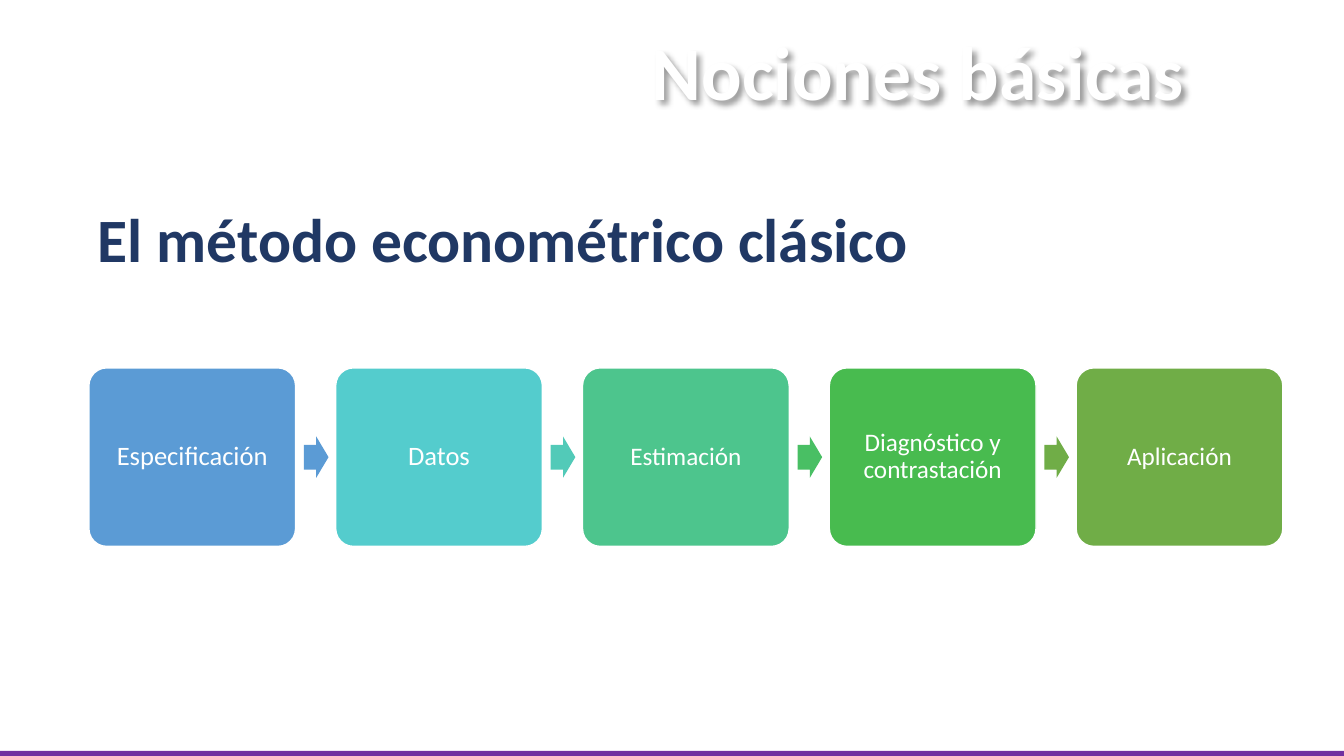
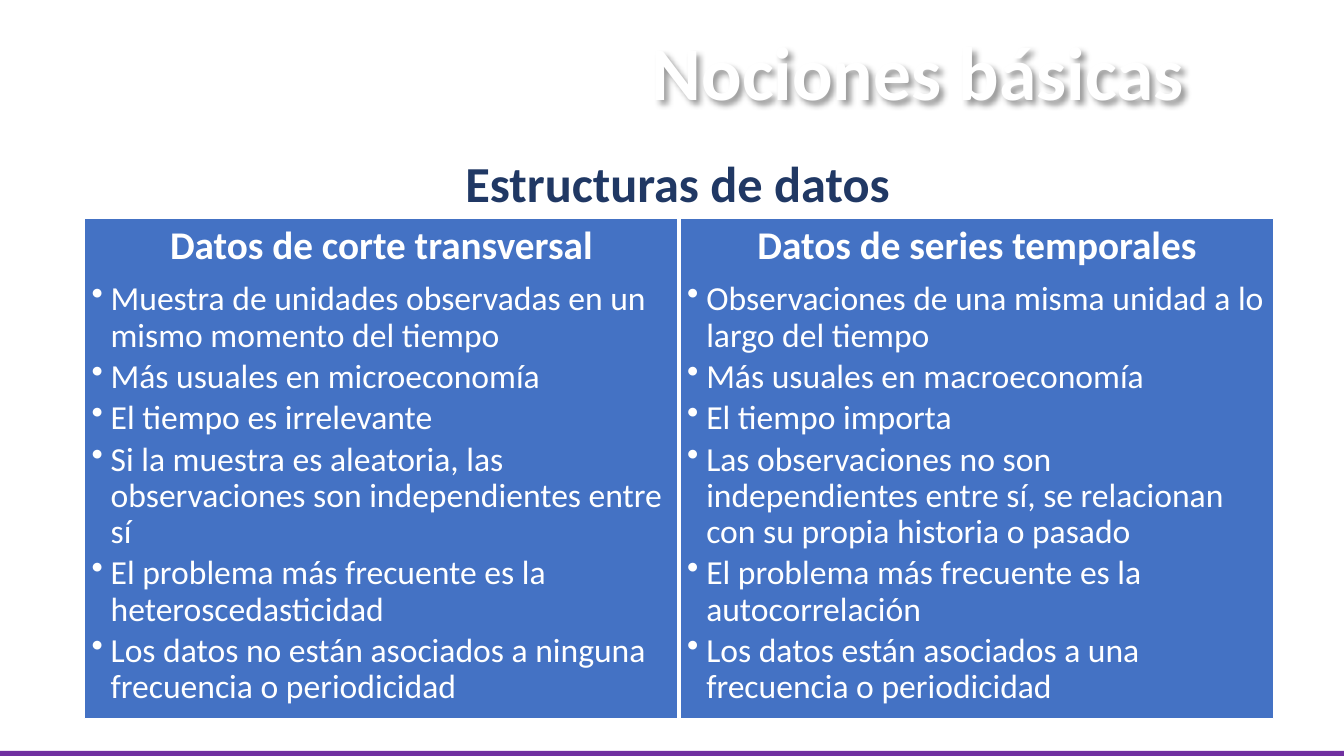
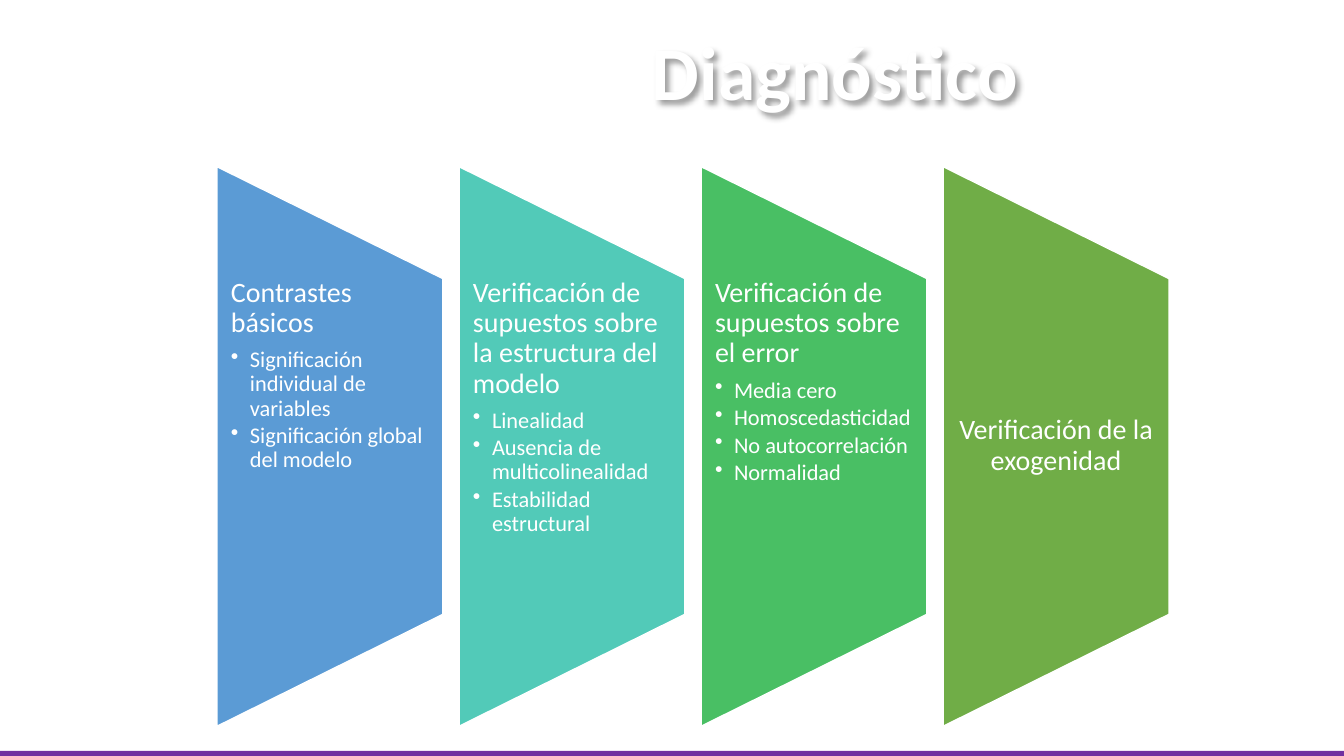
import pptx
import pptx.dml.color
import pptx.enum.shapes
import pptx.enum.text
import pptx.oxml.ns
import pptx.util
from lxml import etree

Cm, Pt = pptx.util.Cm, pptx.util.Pt
qn = pptx.oxml.ns.qn
SHAPES = pptx.enum.shapes.MSO_SHAPE
ANCHOR = pptx.enum.text.MSO_ANCHOR
ALIGN = pptx.enum.text.PP_ALIGN
AUTO_SIZE = pptx.enum.text.MSO_AUTO_SIZE

FONT = "Calibri"
COLORS = {
    "white": "FFFFFF", "purple": "7030A0", "navy": "203864", "royal": "4472C4",
    "blue": "5B9BD5", "cyan": "54CCCD", "teal": "52CAB8", "mint": "4DC58D",
    "emerald": "49BF64", "green": "48BB4F", "olive": "70AD47",
}


def add_block(slide, preset, left, top, width, height, color, outlined=True):
    block = slide.shapes.add_shape(preset, Cm(left), Cm(top), Cm(width), Cm(height))
    block.shadow.inherit = False
    block.fill.solid()
    block.fill.fore_color.rgb = pptx.dml.color.RGBColor.from_string(COLORS[color])
    if outlined:
        block.line.color.rgb = pptx.dml.color.RGBColor.from_string(COLORS["white"])
        block.line.width = Pt(1)
    else:
        block.line.fill.background()
    return block


def write(frame, heading, size, color="white", bold=False, align=ALIGN.LEFT,
          anchor=ANCHOR.TOP, inset=(0.25, 0.13), bullets=(), bullet_size=None, spacing=None):
    frame.word_wrap = True
    frame.vertical_anchor = anchor
    frame.margin_left = frame.margin_right = Cm(inset[0])
    frame.margin_top = frame.margin_bottom = Cm(inset[1])
    for index, text in enumerate([heading, *bullets]):
        paragraph = frame.add_paragraph() if index else frame.paragraphs[0]
        paragraph.text = text
        paragraph.alignment = ALIGN.LEFT if index else align
        if spacing:
            paragraph.line_spacing = spacing
        if bullets:
            paragraph.space_after = Pt(0.15 * bullet_size if index else 0.35 * size)
        if index:
            properties = paragraph._p.get_or_add_pPr()
            properties.set("marL", str(Cm(0.48)))
            properties.set("indent", str(-Cm(0.48)))
            etree.SubElement(properties, qn("a:buChar")).set("char", "•")
        paragraph.font.name = FONT
        paragraph.font.size = Pt(bullet_size if index else size)
        paragraph.font.bold = bold and not index
        paragraph.font.color.rgb = pptx.dml.color.RGBColor.from_string(COLORS[color])


prs = pptx.Presentation()
prs.slide_width, prs.slide_height = Cm(33.87), Cm(19.05)

# Shared parts: bottom band and shadowed title
slides = []
for title in ("Nociones básicas", "Nociones básicas", "Diagnóstico"):
    slide = prs.slides.add_slide(prs.slide_layouts[6])
    add_block(slide, SHAPES.RECTANGLE, 0, 18.92, 33.87, 0.13, "purple", outlined=False)
    title_box = slide.shapes.add_textbox(Cm(16.18), Cm(0.51), Cm(17.02), Cm(2.57))
    write(title_box.text_frame, title, 54, bold=True)
    title_box.text_frame.auto_size = AUTO_SIZE.SHAPE_TO_FIT_TEXT
    effects = etree.SubElement(title_box._element.spPr, qn("a:effectLst"))
    shadow = etree.SubElement(effects, qn("a:outerShdw"), blurRad=str(Pt(4)), dist=str(Pt(3)),
                              dir="2700000", algn="tl", rotWithShape="0")
    shadow_color = etree.SubElement(shadow, qn("a:srgbClr"), val="000000")
    etree.SubElement(shadow_color, qn("a:alpha"), val="40000")
    slides.append(slide)
method_slide, data_slide, diagnosis_slide = slides

# Slide 1: steps of the classical method
method_heading = method_slide.shapes.add_textbox(Cm(2.21), Cm(4.93), Cm(29.72), Cm(2.13))
write(method_heading.text_frame, "El método econométrico clásico", 44, "navy", bold=True)
method_heading.text_frame.auto_size = AUTO_SIZE.SHAPE_TO_FIT_TEXT

steps = [
    ("Especificación", 19, "blue", None),
    ("Datos", 19, "cyan", "blue"),
    ("Estimación", 18, "mint", "teal"),
    ("Diagnóstico y contrastación", 18, "green", "emerald"),
    ("Aplicación", 18, "olive", "olive"),
]
STEP_WIDTH, STEP_PITCH = 5.21, 6.22
for index, (name, size, color, arrow_color) in enumerate(steps):
    left = 2.24 + index * STEP_PITCH
    if arrow_color:
        arrow = add_block(method_slide, SHAPES.RIGHT_ARROW, left - 0.8, 11, 0.62, 1.04,
                          arrow_color, outlined=False)
        arrow.adjustments[0] = 0.6
    step = add_block(method_slide, SHAPES.ROUNDED_RECTANGLE, left, 9.27, STEP_WIDTH, 4.5, color)
    step.adjustments[0] = 0.1
    write(step.text_frame, name, size, align=ALIGN.CENTER, anchor=ANCHOR.MIDDLE,
          inset=(0.2, 0.2), spacing=0.9)

# Slide 2: two data structures side by side
structures = [
    ("Datos de corte transversal", [
        "Muestra de unidades observadas en un mismo momento del tiempo",
        "Más usuales en microeconomía",
        "El tiempo es irrelevante",
        "Si la muestra es aleatoria, las observaciones son independientes entre sí",
        "El problema más frecuente es la heteroscedasticidad",
        "Los datos no están asociados a ninguna frecuencia o periodicidad",
    ]),
    ("Datos de series temporales", [
        "Observaciones de una misma unidad a lo largo del tiempo",
        "Más usuales en macroeconomía",
        "El tiempo importa",
        "Las observaciones no son independientes entre sí, se relacionan con su propia "
        "historia o pasado",
        "El problema más frecuente es la autocorrelación",
        "Los datos están asociados a una frecuencia o periodicidad",
    ]),
]
for index, (name, features) in enumerate(structures):
    panel = add_block(data_slide, SHAPES.RECTANGLE, 2.13 + index * 15.01, 5.51, 14.96, 12.6,
                      "royal")
    write(panel.text_frame, name, 28, bold=True, align=ALIGN.CENTER, inset=(0.18, 0.18),
          bullets=features, bullet_size=24, spacing=0.9)

data_heading = data_slide.shapes.add_textbox(Cm(11.48), Cm(3.71), Cm(11.33), Cm(1.8))
write(data_heading.text_frame, "Estructuras de datos", 36, "navy", bold=True)
data_heading.text_frame.word_wrap = False
data_heading.text_frame.auto_size = AUTO_SIZE.SHAPE_TO_FIT_TEXT

# Slide 3: groups of diagnostic checks
checks = [
    ("Contrastes básicos", "blue",
     ["Significación individual de variables", "Significación global del modelo"]),
    ("Verificación de supuestos sobre la estructura del modelo", "teal",
     ["Linealidad", "Ausencia de multicolinealidad", "Estabilidad estructural"]),
    ("Verificación de supuestos sobre el error", "emerald",
     ["Media cero", "Homoscedasticidad", "No autocorrelación", "Normalidad"]),
    ("Verificación de la exogenidad", "olive", []),
]
CHECK_WIDTH, CHECK_HEIGHT, CHECK_MIDDLE = 5.69, 14.1, 11.25
for index, (name, color, tests) in enumerate(checks):
    left = 5.47 + index * 6.1
    # The preset lies on its side, so its size is given before the turn
    trapezoid = add_block(diagnosis_slide, SHAPES.FLOWCHART_MANUAL_OPERATION,
                          left + (CHECK_WIDTH - CHECK_HEIGHT) / 2, CHECK_MIDDLE - CHECK_WIDTH / 2,
                          CHECK_HEIGHT, CHECK_WIDTH, color)
    trapezoid.rotation = 270
    check_text = diagnosis_slide.shapes.add_textbox(Cm(left), Cm(7.01), Cm(CHECK_WIDTH), Cm(8.46))
    write(check_text.text_frame, name, 20,
          align=ALIGN.LEFT if tests else ALIGN.CENTER,
          anchor=ANCHOR.TOP if tests else ANCHOR.MIDDLE,
          inset=(0.35, 0), bullets=tests, bullet_size=16, spacing=0.9)

prs.save("out.pptx")
